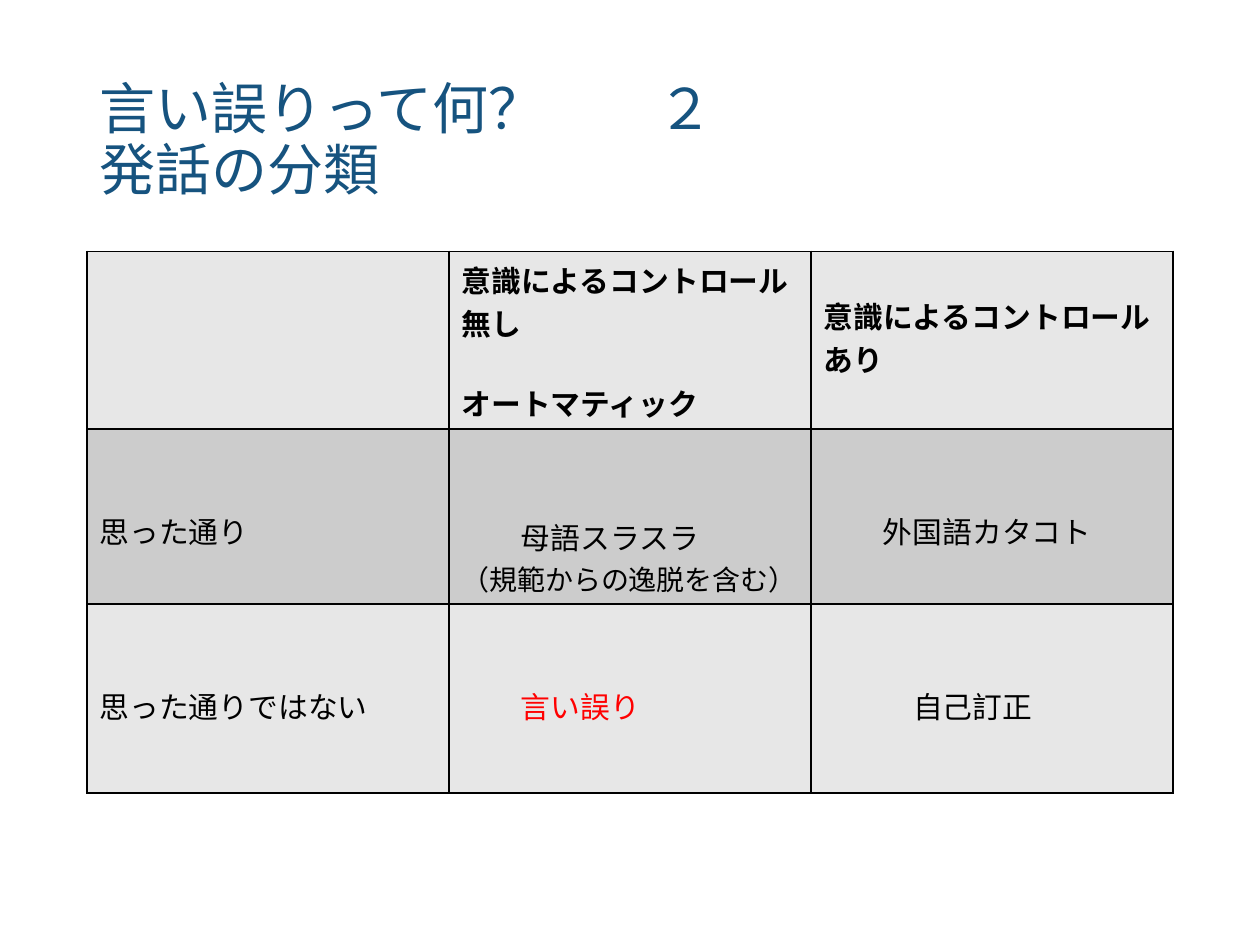
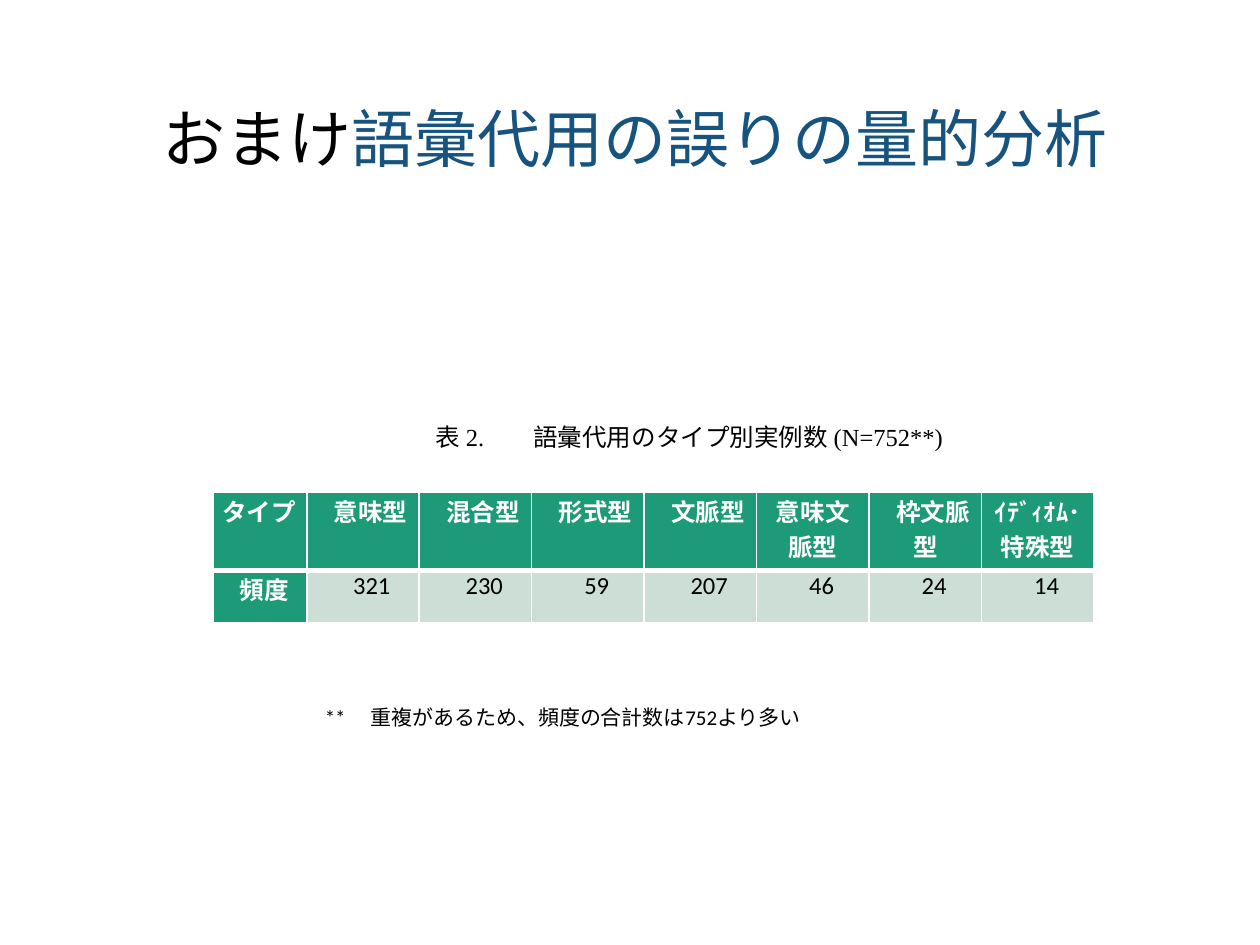
from dataclasses import dataclass

from lxml import etree
from pptx import Presentation
from pptx.dml.color import RGBColor
from pptx.enum.text import MSO_ANCHOR, PP_ALIGN
from pptx.oxml.ns import qn
from pptx.util import Emu, Inches, Pt

LEFT, CENTER, JUSTIFY = PP_ALIGN.LEFT, PP_ALIGN.CENTER, PP_ALIGN.JUSTIFY
TOP, MIDDLE = MSO_ANCHOR.TOP, MSO_ANCHOR.MIDDLE

WIDTH, HEIGHT = Inches(10), Inches(7.5)
SANS, SERIF = "Calibri", "Times New Roman"
BLACK, WHITE, RED, NAVY = "000000", "FFFFFF", "FF0000", "16537F"
PALE, GREY = "E7E7E7", "CCCCCC"
GREEN, MINT = "1D9A78", "CDDED6"


def across(share: float) -> Emu:
    """Length as a percentage of the slide's width."""
    return Emu(round(WIDTH * share / 100))


def down(share: float) -> Emu:
    """Length as a percentage of the slide's height."""
    return Emu(round(HEIGHT * share / 100))


@dataclass(frozen=True)
class Run:
    """A piece of text; gap is extra letter spacing in points."""
    text: str
    size: float
    color: str = BLACK
    bold: bool = False
    font: str = SANS
    gap: float = 0


@dataclass(frozen=True)
class Para:
    """One paragraph; indent is a share of the slide's width."""
    runs: tuple[Run, ...]
    align: PP_ALIGN = LEFT
    indent: float = 0
    before: float = 0
    lines: float = 1


@dataclass(frozen=True)
class Box:
    left: float
    top: float
    width: float
    height: float

    def place(self) -> tuple[Emu, Emu, Emu, Emu]:
        return across(self.left), down(self.top), across(self.width), down(self.height)


@dataclass(frozen=True)
class Cell:
    """Insets are shares of the slide's width (side) and height (top, foot)."""
    paras: tuple[Para, ...]
    fill: str
    side: float = 1
    top: float = 0.67
    foot: float = 0.4


@dataclass(frozen=True)
class Edge:
    color: str
    top: float = 1
    foot: float = 1


TITLE = Box(6.9, 5.33, 86.2, 19.33)
SPEECH = Box(6.9, 26.6, 86.2, 57.33)
COUNTS = Box(16.95, 52.13, 69.9, 13.73)
CAPTION = Box(28.7, 43.8, 48.8, 4.8)
NOTE = Box(24.8, 73.87, 44, 4)


def paint(color: str) -> RGBColor:
    return RGBColor.from_string(color)


def write(frame, paras: tuple[Para, ...]) -> None:
    for i, para in enumerate(paras):
        line = frame.paragraphs[0] if i == 0 else frame.add_paragraph()
        line.alignment = para.align
        line.line_spacing = para.lines
        line.space_before = Pt(para.before)
        props = line._p.get_or_add_pPr()
        props.set("marL", "0")
        props.set("indent", str(across(para.indent)))
        for item in para.runs:
            if item.text == "\n":
                line.add_line_break()
                continue
            run = line.add_run()
            run.text = item.text
            font = run.font
            font.name, font.size, font.bold = item.font, Pt(item.size), item.bold
            font.color.rgb = paint(item.color)
            if item.gap:
                run._r.get_or_add_rPr().set("spc", str(round(item.gap * 100)))


def add_text(slide, box: Box, para: Para, anchor: MSO_ANCHOR = MIDDLE) -> None:
    frame = slide.shapes.add_textbox(*box.place()).text_frame
    frame.word_wrap = True
    frame.vertical_anchor = anchor
    write(frame, (para,))


def add_title(slide, *runs: Run, indent: float = 0) -> None:
    add_text(slide, TITLE, Para(runs, indent=indent, lines=0.9))


def draw_edge(cell, edge: Edge) -> None:
    props = cell._tc.get_or_add_tcPr()
    sides = (("L", 1), ("R", 1), ("T", edge.top), ("B", edge.foot))
    for i, (side, width) in enumerate(sides):
        line = etree.Element(qn(f"a:ln{side}"), w=str(Pt(width)))
        fill = etree.SubElement(line, qn("a:solidFill"))
        etree.SubElement(fill, qn("a:srgbClr"), val=edge.color)
        props.insert(i, line)


def add_grid(slide, box: Box, widths: list[float], heights: list[float],
             rows: list[list[Cell]], edges: list[Edge]) -> None:
    table = slide.shapes.add_table(len(rows), len(widths), *box.place()).table
    table.first_row = table.horz_banding = False
    for col, width in zip(table.columns, widths):
        col.width = across(width)
    for r, (cells, height, edge) in enumerate(zip(rows, heights, edges)):
        table.rows[r].height = down(height)
        for c, item in enumerate(cells):
            cell = table.cell(r, c)
            cell.margin_left = cell.margin_right = across(item.side)
            cell.margin_top, cell.margin_bottom = down(item.top), down(item.foot)
            cell.vertical_anchor = TOP
            cell.fill.solid()
            cell.fill.fore_color.rgb = paint(item.fill)
            draw_edge(cell, edge)
            write(cell.text_frame, item.paras)


def head(*texts: str, top: float = 0.67) -> Cell:
    paras = tuple(Para((Run(text, 17, bold=True),), before=21 * (i > 0))
                  for i, text in enumerate(texts))
    return Cell(paras, PALE, top=top)


def entry(text: str, fill: str, indent: float = 0, color: str = BLACK) -> Cell:
    return Cell((Para((Run(text, 17, color),), indent=indent),), fill, top=8.4)


def build_speech(slide) -> None:
    add_title(slide, Run("言い誤りって何？", 32, NAVY), Run("　", 32, NAVY, gap=32),
              Run("２", 32, NAVY), Run("\n", 32), Run("発話の分類", 32, NAVY))
    fluent = Cell((Para((Run("母語スラスラ", 17),), indent=4.7),
                   Para((Run("（規範からの逸脱を含む）", 16),))), GREY, top=9.1, foot=0)
    rows = [
        [Cell((), PALE), head("意識によるコントロール無し", "オートマティック"),
         head("意識によるコントロールあり", top=4.5)],
        [entry("思った通り", GREY), fluent, entry("外国語カタコト", GREY, 4.7)],
        [entry("思った通りではない", PALE), entry("言い誤り", PALE, 4.7, RED),
         entry("自己訂正", PALE, 7.1)],
    ]
    add_grid(slide, SPEECH, [SPEECH.width / 3] * 3, [18.8, 18.53, 20], rows,
             [Edge(BLACK)] * 3)


def count(text: str, fill: str, indent: float, align: PP_ALIGN = CENTER) -> Cell:
    strong = fill == GREEN
    run = Run(text, 14, WHITE if strong else BLACK, strong)
    return Cell((Para((run,), align, indent),), fill, side=0.7, top=0, foot=0)


def build_counts(slide) -> None:
    add_title(slide, Run("おまけ", 36), Run("語彙代用の誤りの量的分析", 36, NAVY), indent=5)
    caption = (Run("表 2.", 14, font=SERIF), Run("　", 14, font=SERIF, gap=14),
               Run("語彙代用のタイプ別実例数 (N=752**)", 14, font=SERIF))
    add_text(slide, CAPTION, Para(caption, indent=4.9))
    kinds = [("意味型", 1.2, 321), ("混合型", 1.2, 230), ("形式型", 1.2, 59),
             ("文脈型", 1.2, 207), ("意味文脈型", -1, 46), ("枠文脈型", 1.2, 24),
             ("ｲﾃﾞｨｵﾑ･特殊型", -1, 14)]
    rows = [
        [count("タイプ", GREEN, 0, JUSTIFY)]
        + [count(name, GREEN, indent) for name, indent, _ in kinds],
        [count("頻度", GREEN, 1.4, JUSTIFY)]
        + [count(str(total), MINT, 1.4) for *_, total in kinds],
    ]
    first = 7.4
    rest = (COUNTS.width - first) / len(kinds)
    add_grid(slide, COUNTS, [first] + [rest] * len(kinds), [8.27, 5.46], rows,
             [Edge(WHITE, foot=3), Edge(WHITE, top=3)])
    note = (Run("**", 12), Run("　", 12, gap=2),
            Run("重複があるため、頻度の合計数は752より多い", 12))
    add_text(slide, NOTE, Para(note), TOP)


def main() -> None:
    deck = Presentation()
    deck.slide_width, deck.slide_height = WIDTH, HEIGHT
    for build in (build_speech, build_counts):
        build(deck.slides.add_slide(deck.slide_layouts[6]))
    deck.save("out.pptx")


if __name__ == "__main__":
    main()
